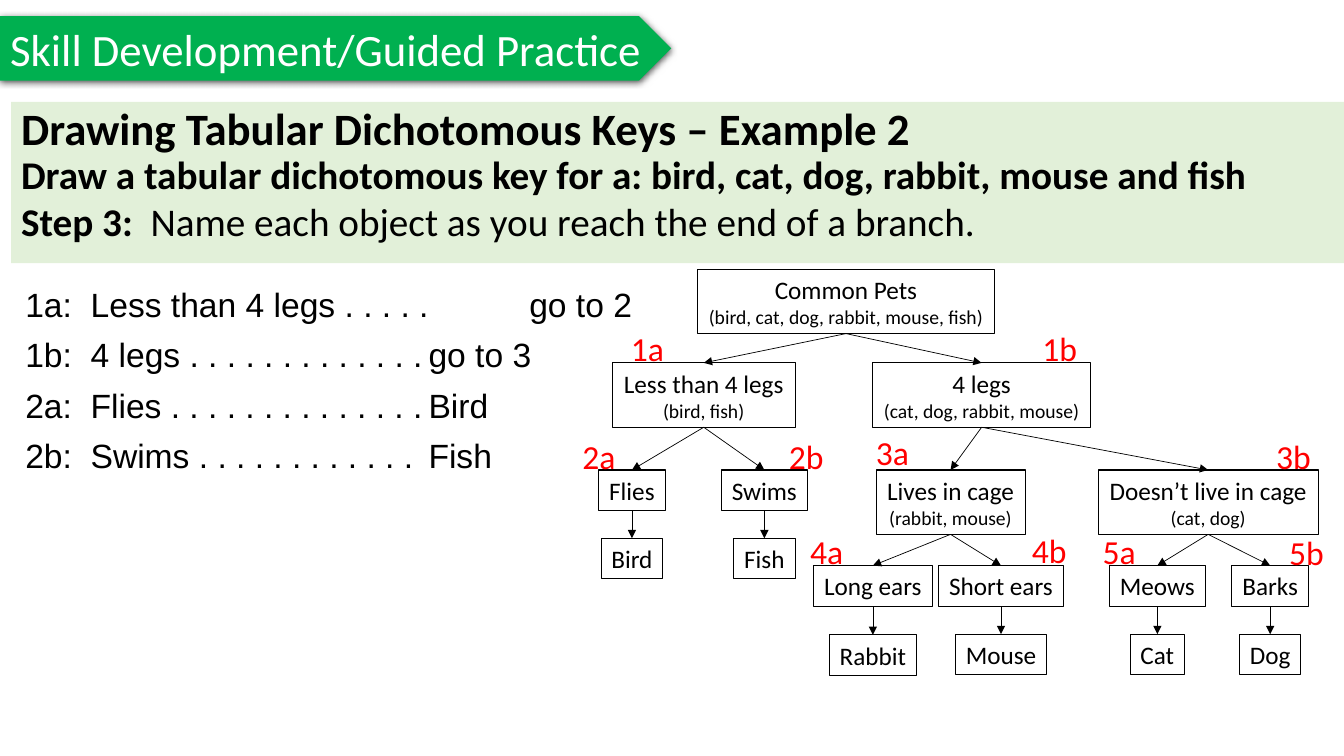
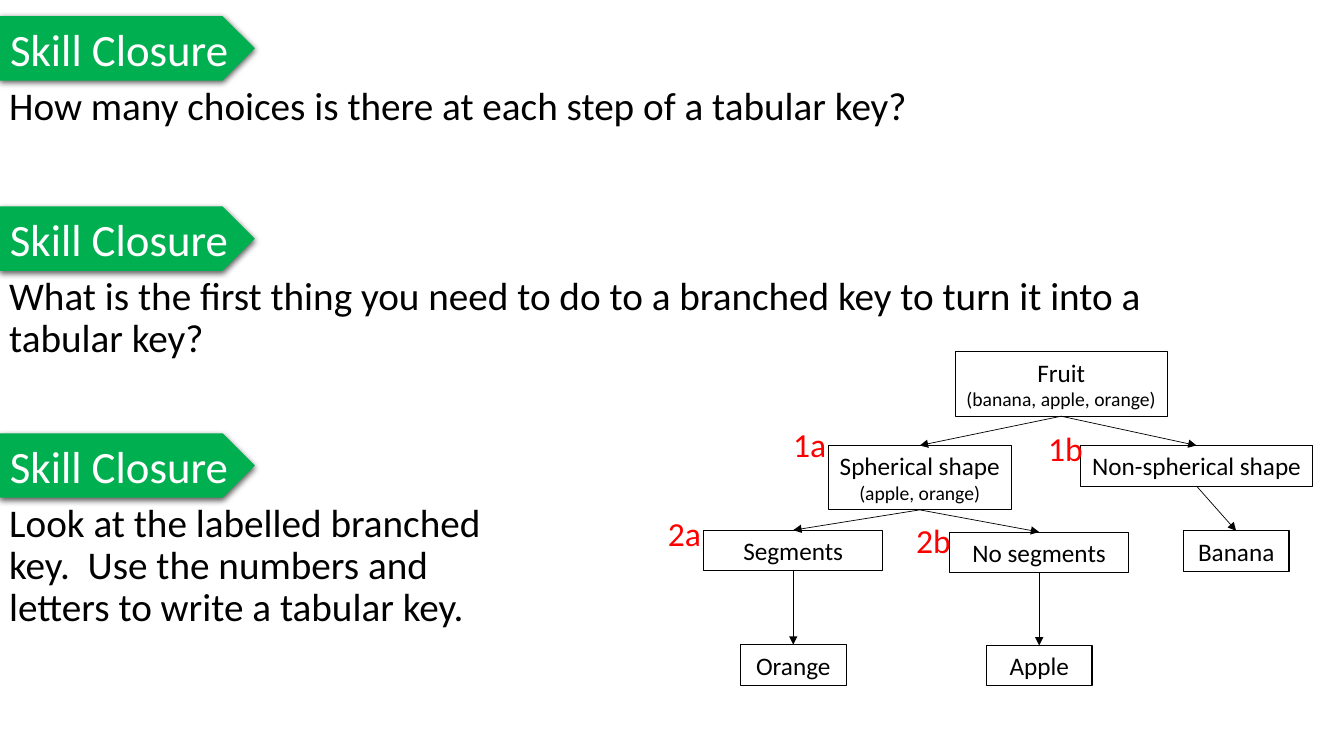
from dataclasses import dataclass
from typing import Optional

from lxml import etree
from pptx import Presentation
from pptx import util as u
from pptx.dml.color import RGBColor
from pptx.enum import shapes, text
from pptx.oxml import parse_xml
from pptx.oxml.ns import nsdecls, qn

Pt = u.Pt
SLIDE_W, SLIDE_H = 960, 540
BANNER_TOP, BANNER_H = 11.5, 46
TITLE_ONLY = 5
COLOURS = {
    "banner": "00B050",
    "band": "E2F0D9",
    "ink": "000000",
    "tag": "FF0000",
    "title": "FFFFFF",
}


@dataclass
class Tag:
    text: str
    left: float
    top: float


@dataclass
class Node:
    """A box of a branched key, placed by the middle of its top side."""
    label: str
    centre: float
    top: float
    width: float
    detail: str = ""
    tag: Optional[Tag] = None
    children: tuple["Node", ...] = ()


@dataclass
class KeyLine:
    text: str
    tab: float = 288


@dataclass
class Prompt:
    text: str
    banner_top: float
    width: float
    height: float


PETS = Node("Common Pets", 604.3, 192.3, 212.5, "(bird, cat, dog, rabbit, mouse, fish)", children=(
    Node("Less than 4 legs", 502.7, 259.2, 130.5, "(bird, fish)", Tag("1a", 443.5, 231), (
        Node("Flies", 451.4, 335.7, 47.5, tag=Tag("2a", 409, 307.5), children=(
            Node("Bird", 451.4, 384.5, 44),)),
        Node("Swims", 546, 335.7, 61, tag=Tag("2b", 556.5, 307.5), children=(
            Node("Fish", 546, 384.5, 44),)),
    )),
    Node("4 legs", 701.2, 259.2, 155.5, "(cat, dog, rabbit, mouse)", Tag("1b", 737.5, 231), (
        Node("Lives in cage", 679, 335.7, 106.5, "(rabbit, mouse)", Tag("3a", 618.5, 305.3), (
            Node("Long ears", 623.5, 404, 85, tag=Tag("4a", 571.7, 375.5), children=(
                Node("Rabbit", 623.5, 453.5, 62.5),)),
            Node("Short ears", 715, 404, 89.5, tag=Tag("4b", 730, 375), children=(
                Node("Mouse", 715, 453, 65.5),)),
        )),
        Node("Doesn’t live in cage", 863, 335.7, 157, "(cat, dog)", Tag("3b", 904.5, 307.5), (
            Node("Meows", 826.7, 404, 68.5, tag=Tag("5a", 780.5, 375.5), children=(
                Node("Cat", 826.7, 453, 39),)),
            Node("Barks", 907.3, 404, 55, tag=Tag("5b", 913.7, 376.5), children=(
                Node("Dog", 907.3, 453, 44),)),
        )),
    )),
))

FRUIT = Node("Fruit", 758, 251.3, 151.5, "(banana, apple, orange)", children=(
    Node("Spherical shape", 657, 318.2, 130.5, "(apple, orange)", Tag("1a", 559.5, 299), (
        Node("Segments", 566.6, 378.7, 128, tag=Tag("2a", 470, 363), children=(
            Node("Orange", 566.6, 460.5, 75.5),)),
        Node("No segments", 742.3, 380, 128, tag=Tag("2b", 647.3, 368), children=(
            Node("Apple", 742.3, 461, 75.5),)),
    )),
    Node("Non-spherical shape", 854.7, 318.2, 165.5, tag=Tag("1b", 741.6, 302.4), children=(
        Node("Banana", 883, 379.2, 75.5),)),
))

KEY_LINES = (
    KeyLine("1a:  Less than 4 legs . . . . .\tgo to 2", 360),
    KeyLine("1b:  4 legs . . . . . . . . . . . . .\tgo to 3"),
    KeyLine("2a:  Flies . . . . . . . . . . . . . .\tBird"),
    KeyLine("2b:  Swims . . . . . . . . . . . .\tFish"),
)

PROMPTS = (
    Prompt("How many choices is there at each step of a tabular key?", BANNER_TOP, 682.5, 68),
    Prompt("What is the first thing you need to do to a branched key to turn it into a tabular key?",
           147.5, 880, 90),
    Prompt("Look at the labelled branched key.  Use the numbers and letters to write a tabular key.",
           309.5, 378.5, 158),
)


def rgb(name: str) -> RGBColor:
    return RGBColor.from_string(COLOURS[name])


def format_runs(p, size: float, colour: str = "ink", bold: bool = False, name: str = "Calibri") -> None:
    for r in p.runs:
        r.font.size, r.font.name, r.font.bold = Pt(size), name, bold
        r.font.color.rgb = rgb(colour)


def add_paragraph(tf, words: str, first: bool = False):
    p = tf.paragraphs[0] if first else tf.add_paragraph()
    p.text = words
    return p


def add_preset(s, preset, left: float, top: float, width: float, height: float,
               fill: Optional[str] = None):
    """Add a shape with no shadow, no outline and an optional fill."""
    sp = s.shapes.add_shape(preset, Pt(left), Pt(top), Pt(width), Pt(height))
    sp.shadow.inherit = False
    sp.line.fill.background()
    if fill:
        sp.fill.solid()
        sp.fill.fore_color.rgb = rgb(fill)
    else:
        sp.fill.background()
    return sp


def add_text_box(s, left: float, top: float, width: float, height: float, wrap: bool = True):
    tf = s.shapes.add_textbox(Pt(left), Pt(top), Pt(width), Pt(height)).text_frame
    tf.word_wrap = wrap
    return tf


def add_banner(s, top: float, width: float):
    sp = add_preset(s, shapes.MSO_SHAPE.PENTAGON, 0, top, width, BANNER_H, "banner")
    effects = sp.element.spPr.find(qn("a:effectLst"))
    effects.append(parse_xml(
        f'<a:outerShdw {nsdecls("a")} blurRad="{Pt(4.5)}" dist="{Pt(1.5)}" dir="5400000"'
        ' algn="t" rotWithShape="0"><a:srgbClr val="000000"><a:alpha val="63000"/>'
        "</a:srgbClr></a:outerShdw>"))
    return sp


def write_heading(sp, words: str) -> None:
    tf = sp.text_frame
    tf.text = words
    tf.word_wrap = True
    tf.auto_size = text.MSO_AUTO_SIZE.NONE
    tf.vertical_anchor = text.MSO_ANCHOR.MIDDLE
    tf.margin_right = 0
    tf.paragraphs[0].alignment = text.PP_ALIGN.LEFT
    format_runs(tf.paragraphs[0], 32, "title")


def add_titled_slide(prs, title: str, width: float):
    s = prs.slides.add_slide(prs.slide_layouts[TITLE_ONLY])
    sp = s.shapes.title
    sp.left, sp.top, sp.width, sp.height = Pt(0), Pt(BANNER_TOP), Pt(width), Pt(BANNER_H)
    write_heading(sp, title)
    banner = add_banner(s, BANNER_TOP, width)
    banner.element.addnext(sp.element)
    return s


def add_arrow(s, start, end) -> None:
    """Join the bottom of one box to the top of another."""
    c = s.shapes.add_connector(shapes.MSO_CONNECTOR.STRAIGHT, 0, 0, 0, 0)
    c.begin_connect(start, 2)
    c.end_connect(end, 0)
    c.line.width = Pt(0.5)
    c.line.color.rgb = rgb("ink")
    etree.SubElement(c.line._get_or_add_ln(), qn("a:tailEnd"), type="triangle")
    etree.SubElement(c._element.spPr, qn("a:effectLst"))


def add_tag(s, tag: Tag) -> None:
    tf = add_text_box(s, tag.left, tag.top, 39, 36, wrap=False)
    format_runs(add_paragraph(tf, tag.text, first=True), 24, "tag")


def add_tree(s, node: Node):
    """Draw a node with everything below it and return its box."""
    sp = add_preset(s, shapes.MSO_SHAPE.RECTANGLE, node.centre - node.width / 2, node.top,
                    node.width, 46 if node.detail else 29)
    sp.line.color.rgb = rgb("ink")
    sp.line.width = Pt(0.75)
    tf = sp.text_frame
    tf.word_wrap = False
    tf.vertical_anchor = text.MSO_ANCHOR.MIDDLE
    format_runs(add_paragraph(tf, node.label, first=True), 18)
    if node.detail:
        format_runs(add_paragraph(tf, node.detail), 14)
    for p in tf.paragraphs:
        p.alignment = text.PP_ALIGN.CENTER
    if node.tag:
        add_tag(s, node.tag)
    for child in node.children:
        add_arrow(s, sp, add_tree(s, child))
    return sp


def add_task_band(s) -> None:
    band = add_preset(s, shapes.MSO_SHAPE.RECTANGLE, 8, 72.7, SLIDE_W - 8, 115.3, "band")
    tf = band.text_frame
    tf.word_wrap = True
    tf.vertical_anchor = text.MSO_ANCHOR.TOP
    heading = add_paragraph(tf, "Drawing Tabular Dichotomous Keys – Example 2", first=True)
    task = add_paragraph(
        tf, "Draw a tabular dichotomous key for a: bird, cat, dog, rabbit, mouse and fish")
    step = add_paragraph(tf, "Step 3:")
    step.add_run().text = "  Name each object as you reach the end of a branch."
    for p, size in ((heading, 32), (task, 28), (step, 28)):
        format_runs(p, size, bold=True)
        p.alignment = text.PP_ALIGN.LEFT
    heading.line_spacing = task.line_spacing = 0.9
    step.runs[1].font.bold = False


def add_key_lines(s) -> None:
    tf = add_text_box(s, 11, 202.5, 795.5, 270.5)
    for i, line in enumerate(KEY_LINES):
        p = add_paragraph(tf, line.text, first=i == 0)
        p.line_spacing = 0.9
        if i:
            p.space_before = Pt(10)
        tabs = etree.SubElement(p._p.get_or_add_pPr(), qn("a:tabLst"))
        etree.SubElement(tabs, qn("a:tab"), pos=str(Pt(line.tab)), algn="l")
        format_runs(p, 24, name="Arial")


def add_prompt(s, prompt: Prompt) -> None:
    tf = add_text_box(s, -0.5, prompt.banner_top + BANNER_H + 0.5, prompt.width, prompt.height)
    p = add_paragraph(tf, prompt.text, first=True)
    p.line_spacing = 0.9
    format_runs(p, 28)


def build_practice_slide(prs) -> None:
    s = add_titled_slide(prs, "Skill Development/Guided Practice", 479.5)
    add_task_band(s)
    add_key_lines(s)
    add_tree(s, PETS)


def build_closure_slide(prs) -> None:
    title, width = "Skill Closure", 182
    s = add_titled_slide(prs, title, width)
    for i, prompt in enumerate(PROMPTS):
        if i:
            write_heading(add_banner(s, prompt.banner_top, width), title)
        add_prompt(s, prompt)
    add_tree(s, FRUIT)


def main() -> None:
    prs = Presentation()
    prs.slide_width, prs.slide_height = Pt(SLIDE_W), Pt(SLIDE_H)
    build_practice_slide(prs)
    build_closure_slide(prs)
    prs.save("out.pptx")


if __name__ == "__main__":
    main()
